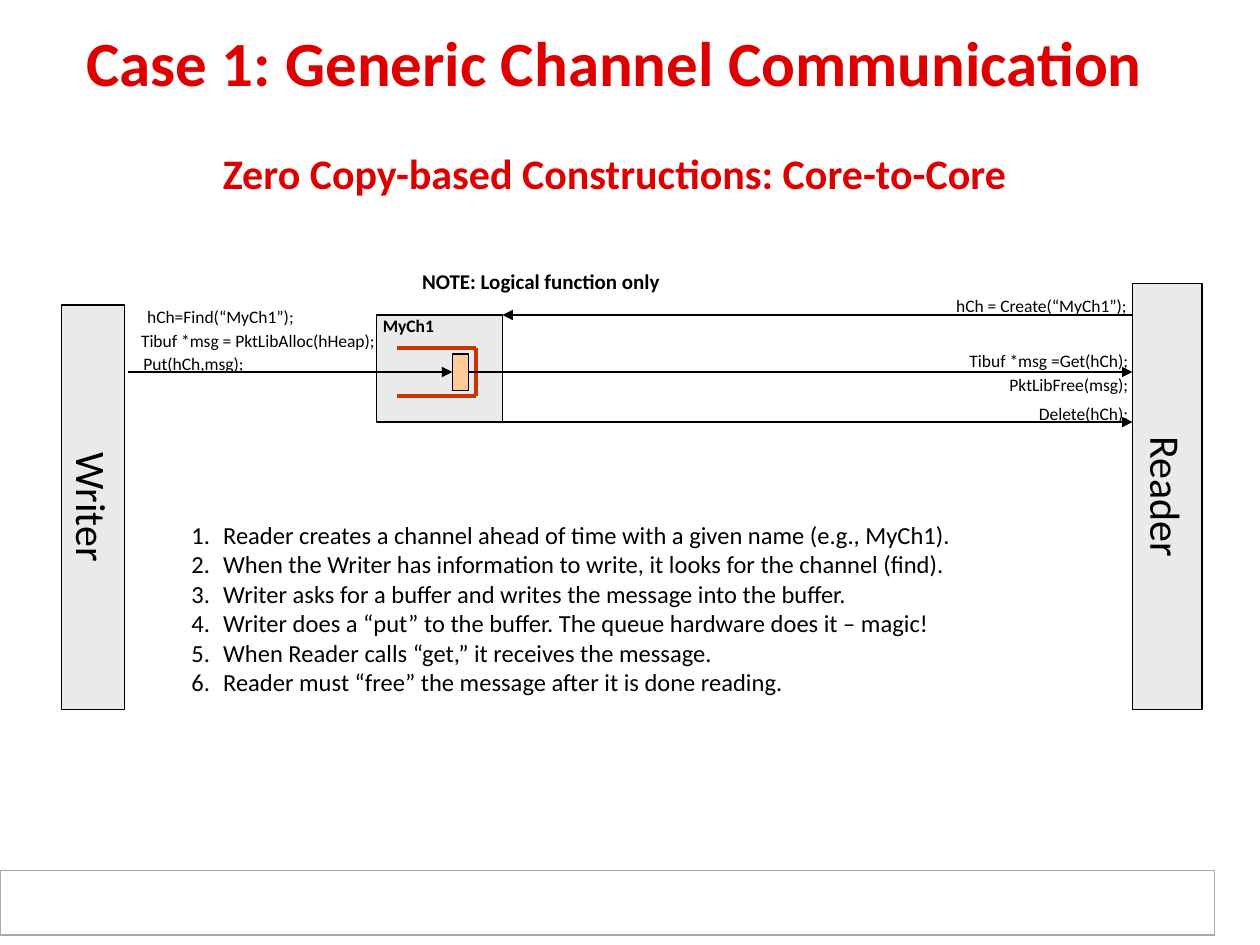
from dataclasses import dataclass

from lxml import etree
from pptx import Presentation
from pptx import util as u
from pptx.dml import color
from pptx.enum import shapes, text
from pptx.oxml import ns

FONT, BLACK, RED, GREY = "Calibri", "000000", "DE0000", "EAEAEA"
BRACKET_RED = "CC3300"
LEFT, CENTER, RIGHT = text.PP_ALIGN.LEFT, text.PP_ALIGN.CENTER, text.PP_ALIGN.RIGHT
TOP, MIDDLE = text.MSO_ANCHOR.TOP, text.MSO_ANCHOR.MIDDLE


@dataclass
class Line:
    """One paragraph and its format."""
    words: str
    size: float = 10
    bold: bool = False
    hue: str = BLACK
    align: int = LEFT
    before: float = 0
    numbered: bool = False


@dataclass
class Block:
    """A rectangle; lengths in cm."""
    left: float
    top: float
    width: float
    height: float
    fill: str = GREY
    border: str = BLACK
    label: Line | None = None
    vertical: bool = False


@dataclass
class Link:
    """A connector between two points in cm."""
    start: tuple[float, float]
    end: tuple[float, float]
    hue: str = BLACK
    weight: float = 0.75
    arrow: bool = True
    kind: int = shapes.MSO_CONNECTOR.STRAIGHT


def rgb(hex_code: str) -> color.RGBColor:
    return color.RGBColor.from_string(hex_code)


def apply(target, formats: dict) -> None:
    for name, value in formats.items():
        setattr(target, name, value)


def write(frame, lines: list[Line], **frame_formats) -> None:
    apply(frame, frame_formats)
    for index, line in enumerate(lines):
        paragraph = frame.paragraphs[0] if index == 0 else frame.add_paragraph()
        if line.numbered:
            properties = paragraph._p.get_or_add_pPr()
            indent = u.Cm(0.64)
            properties.set("marL", str(indent))
            properties.set("indent", str(-indent))
            etree.SubElement(properties, ns.qn("a:buFont"), typeface="+mj-lt")
            etree.SubElement(properties, ns.qn("a:buAutoNum"), type="arabicPeriod")
        paragraph.alignment = line.align
        if line.before:
            paragraph.space_before = u.Pt(line.before)
        run = paragraph.add_run()
        run.text = line.words
        apply(run.font, {"name": FONT, "size": u.Pt(line.size), "bold": line.bold})
        run.font.color.rgb = rgb(line.hue)


def add_text(slide, box: tuple, lines: list[Line], anchor=TOP) -> None:
    frame = slide.shapes.add_textbox(*map(u.Cm, box)).text_frame
    write(frame, lines, word_wrap=True, vertical_anchor=anchor)


def add_block(slide, block: Block) -> None:
    box = map(u.Cm, (block.left, block.top, block.width, block.height))
    shape = slide.shapes.add_shape(shapes.MSO_SHAPE.RECTANGLE, *box)
    shape.shadow.inherit = False
    shape.fill.solid()
    shape.fill.fore_color.rgb = rgb(block.fill)
    shape.line.color.rgb = rgb(block.border)
    shape.line.width = u.Pt(0.75)
    if block.label:
        side = u.Cm(0 if block.vertical else 0.13)
        write(shape.text_frame, [block.label], word_wrap=False,
              margin_left=side, margin_right=side, margin_top=0, margin_bottom=0,
              vertical_anchor=MIDDLE if block.vertical else TOP)
    if block.vertical:
        shape.text_frame._txBody.bodyPr.set("vert", "vert")


def add_link(slide, link: Link) -> None:
    ends = map(u.Cm, (*link.start, *link.end))
    connector = slide.shapes.add_connector(link.kind, *ends)
    connector.line.color.rgb = rgb(link.hue)
    connector.line.width = u.Pt(link.weight)
    if link.arrow:
        etree.SubElement(connector.line._get_or_add_ln(), ns.qn("a:tailEnd"), type="triangle")
    etree.SubElement(connector._element.spPr, ns.qn("a:effectLst"))


# Shared edges of the diagram, in cm
reader_x, bottom = 22.83, 14.3
channel_x, channel_y, channel_w, channel_h = 7.59, 6.35, 2.54, 2.16
channel_right, channel_bottom = channel_x + channel_w, channel_y + channel_h
message_x, message_w, message_y = 9.12, 0.33, 7.5
bracket_left, bracket_right, bracket_top, bracket_bottom = 8, 9.6, 7.01, 7.98
elbow = shapes.MSO_CONNECTOR.ELBOW

footer = Block(0, 17.55, 24.49, 1.3, "FFFFFF", "AAAAAA")
reader = Block(reader_x, 5.72, 1.4, bottom - 5.72,
               label=Line("Reader", 24, align=CENTER), vertical=True)
writer = Block(1.24, 6.15, 1.27, bottom - 6.15,
               label=Line("Writer", 24, align=CENTER), vertical=True)
channel = Block(channel_x, channel_y, channel_w, channel_h,
                label=Line("MyCh1", bold=True))
message = Block(message_x, 7.14, message_w, 0.74, "FFCC99")

corners = [(bracket_left, bracket_top), (bracket_right, bracket_top),
           (bracket_right, bracket_bottom), (bracket_left, bracket_bottom)]
bracket = [Link(a, b, BRACKET_RED, 2, False) for a, b in zip(corners, corners[1:])]
calls = [
    Link((2.59, message_y), (message_x, message_y)),
    Link((message_x + message_w, message_y), (reader_x, message_y), kind=elbow),
    Link((reader_x, channel_y), (channel_right, channel_y)),
    Link((channel_right, channel_bottom), (reader_x, channel_bottom), kind=elbow),
]

# Code captions: left, top, width, words
captions = [
    (1.93, 6.05, 4.24, "hCh=Find(“MyCh1”);"),
    (1.88, 6.53, 5.92, "Tibuf *msg = PktLibAlloc(hHeap);"),
    (1.98, 6.99, 3.18, "Put(hCh,msg);"),
    (18.29, 5.82, 4.67, "hCh = Create(“MyCh1”);"),
    (18.54, 6.93, 4.45, "Tibuf *msg =Get(hCh);"),
    (19.38, 7.42, 3.61, "PktLibFree(msg);"),
    (20.4, 8, 2.59, "Delete(hCh);"),
]
steps = [
    "Reader creates a channel ahead of time with a given name (e.g., MyCh1).",
    "When the Writer has information to write, it looks for the channel (find).",
    "Writer asks for a buffer and writes the message into the buffer.",
    "Writer does a “put” to the buffer. The queue hardware does it – magic!",
    "When Reader calls “get,” it receives the message.",
    "Reader must “free” the message after it is done reading.",
]


def main() -> None:
    deck = Presentation()
    apply(deck, {"slide_width": u.Cm(25.4), "slide_height": u.Cm(19.05)})
    slide = deck.slides.add_slide(deck.slide_layouts[6])

    # Footer band and title
    add_block(slide, footer)
    add_text(slide, (0.64, 0, 23.5, 4.47), [
        Line("Case 1: Generic Channel Communication", 36, True, RED, CENTER),
        Line("Zero Copy-based Constructions: Core-to-Core", 24, True, RED, CENTER, 28),
    ], MIDDLE)

    # Writer, channel and reader
    for block in (reader, writer, channel, message):
        add_block(slide, block)
    for link in bracket + calls:
        add_link(slide, link)
    for left, top, width, words in captions:
        add_text(slide, (left, top, width, 0.69), [Line(words, align=RIGHT)])

    # Note and numbered steps
    add_text(slide, (8.26, 5.28, 9.73, 0.76),
             [Line("NOTE: Logical function only", 12, True)])
    add_text(slide, (3.61, 10.36, 17.78, 3.84),
             [Line(step, 14, numbered=True) for step in steps])

    deck.save("out.pptx")


if __name__ == "__main__":
    main()
